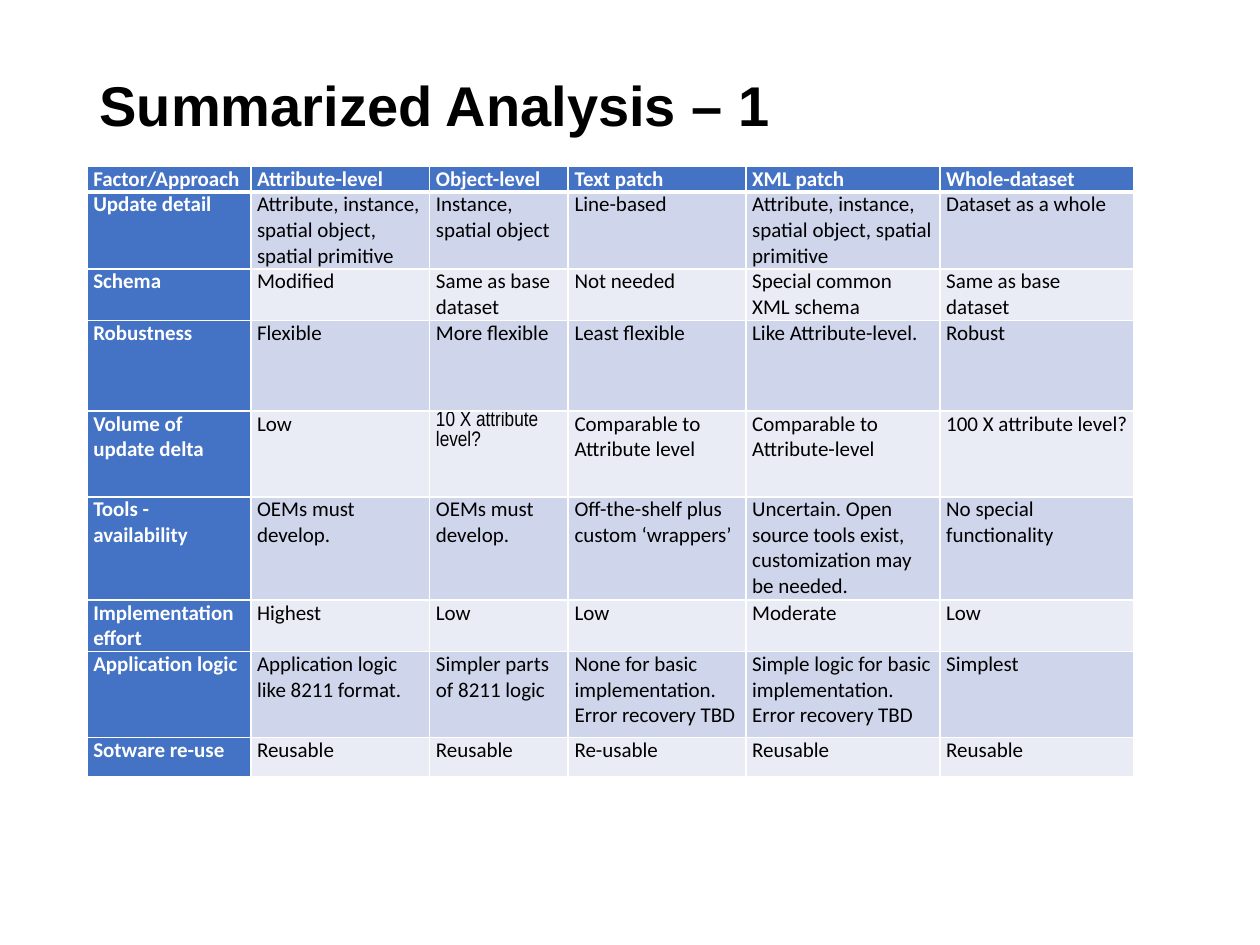
from pptx import Presentation
from pptx.dml.color import RGBColor as Rgb
from pptx.enum.text import MSO_ANCHOR as Anchor, MSO_AUTO_SIZE as Fit, PP_ALIGN as Align
from pptx.oxml import parse_xml
from pptx.oxml.ns import nsdecls
from pptx.util import Inches, Pt

THEME = {
    "head": "4472C4", "odd": "CFD5EA", "even": "E9EBF5",
    "white": "FFFFFF", "black": "000000",
    "title": Pt(32), "body": Pt(12),
    "sans": "Arial", "text": "Calibri", "slim": "Arial Narrow",
}
WIDTHS = [1.3, 1.42, 1.1, 1.41, 1.54, 1.54]
HEIGHTS = [0.2, 0.61, 0.41, 0.72, 0.68, 0.82, 0.41, 0.68, 0.31]
ROWS = [
    ["Factor/Approach", "Attribute-level", "Object-level", "Text patch", "XML patch", "Whole-dataset"],
    ["Update detail", "Attribute, instance, spatial object, spatial primitive",
     "Instance, spatial object", "Line-based",
     "Attribute, instance, spatial object, spatial primitive", "Dataset as a whole"],
    ["Schema", "Modified", "Same as base dataset", "Not needed",
     "Special common XML schema", "Same as base dataset"],
    ["Robustness", "Flexible", "More flexible", "Least flexible", "Like Attribute-level.", "Robust"],
    ["Volume of update delta", "Low", "10 X attribute level?", "Comparable to Attribute level",
     "Comparable to Attribute-level", "100 X attribute level?"],
    ["Tools - availability", "OEMs must develop.", "OEMs must develop.",
     "Off-the-shelf plus custom ‘wrappers’",
     "Uncertain. Open source tools exist, customization may be needed.", "No special functionality"],
    ["Implementation effort", "Highest", "Low", "Low", "Moderate", "Low"],
    ["Application logic", "Application logic like 8211 format.", "Simpler parts of 8211 logic",
     "None for basic implementation. Error recovery TBD",
     "Simple logic for basic implementation. Error recovery TBD", "Simplest"],
    ["Sotware re-use", "Reusable", "Reusable", "Re-usable", "Reusable", "Reusable"],
]


def style(item, form):
    for key, value in form.items():
        setattr(item, key, value)


def edge(cell, sides):
    props = cell._tc.get_or_add_tcPr()
    for spot, (side, width) in enumerate(sides.items()):
        props.insert(spot, parse_xml(
            f'<a:{side} {nsdecls("a")} w="{Pt(width)}"><a:solidFill>'
            f'<a:srgbClr val="{THEME["white"]}"/></a:solidFill></a:{side}>'))


deck = Presentation()
style(deck, {"slide_width": Inches(10), "slide_height": Inches(7.5)})
slide = deck.slides.add_slide(deck.slide_layouts[5])

title = slide.shapes.title
style(title, {"left": Inches(0.69), "top": Inches(0.4), "width": Inches(8.62), "height": Inches(0.92)})
frame = title.text_frame
style(frame, {"text": "Summarized Analysis – 1", "auto_size": Fit.NONE,
              "vertical_anchor": Anchor.MIDDLE, "word_wrap": True})
para = frame.paragraphs[0]
style(para, {"alignment": Align.LEFT, "line_spacing": 0.9})
font = para.runs[0].font
style(font, {"name": THEME["sans"], "size": THEME["title"], "bold": True})
font.color.rgb = Rgb.from_string(THEME["black"])

table = slide.shapes.add_table(
    len(ROWS), len(WIDTHS), Inches(0.69), Inches(1.32),
    Inches(sum(WIDTHS)), Inches(sum(HEIGHTS))).table
table.first_col = True
for col, width in zip(table.columns, WIDTHS):
    col.width = Inches(width)
for row, height in zip(table.rows, HEIGHTS):
    row.height = Inches(height)

for r, line in enumerate(ROWS):
    for c, words in enumerate(line):
        cell = table.cell(r, c)
        label = r == 0 or c == 0
        fill = "head" if label else "odd" if r % 2 else "even"
        style(cell, {"text": words, "vertical_anchor": Anchor.TOP,
                     "margin_left": Inches(0.05), "margin_right": Inches(0.05),
                     "margin_top": 0, "margin_bottom": 0})
        cell.fill.solid()
        cell.fill.fore_color.rgb = Rgb.from_string(THEME[fill])
        edge(cell, {"lnL": 1, "lnR": 1, "lnT": 3 if r == 1 else 1, "lnB": 1 if r else 3})
        para = cell.text_frame.paragraphs[0]
        para.space_after = Pt(3)
        font = para.runs[0].font
        face = "slim" if words.startswith("10 X") else "text"
        style(font, {"name": THEME[face], "size": THEME["body"], "bold": label})
        font.color.rgb = Rgb.from_string(THEME["white" if label else "black"])

deck.save("out.pptx")
